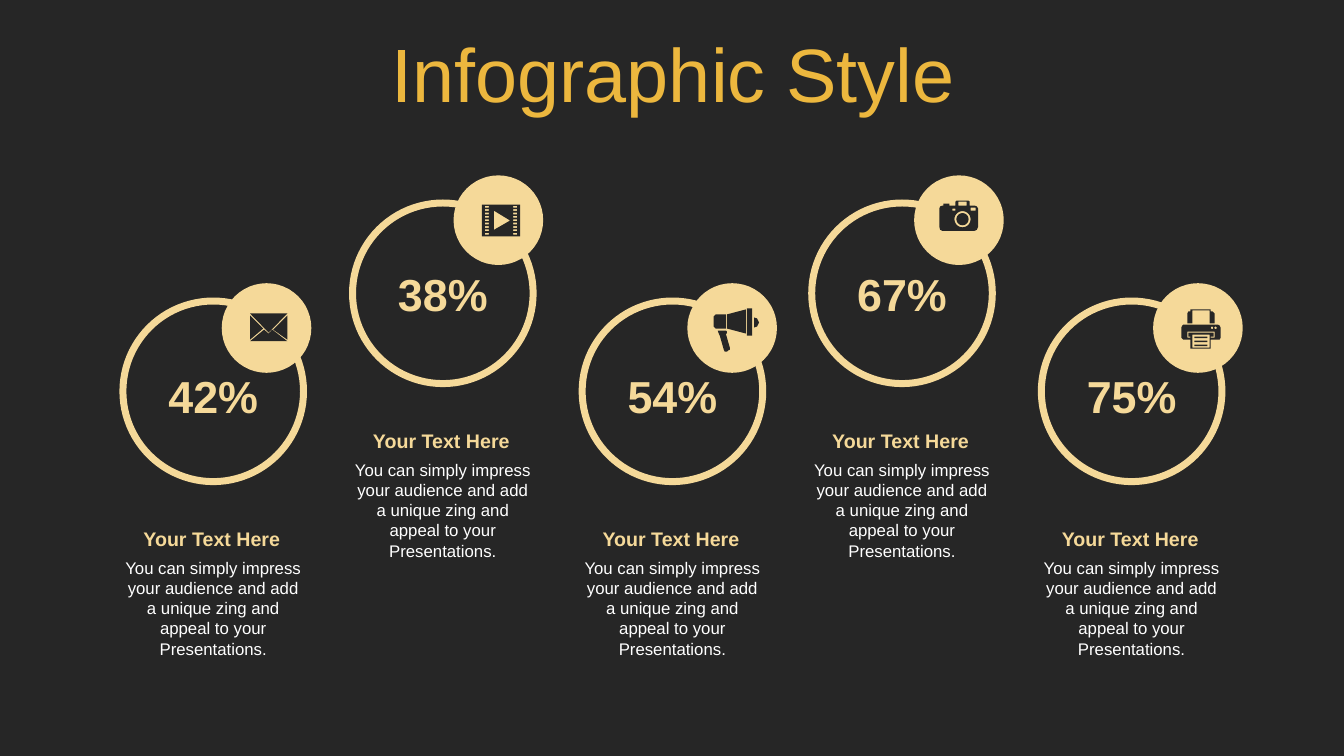
from dataclasses import dataclass
from math import cos, pi, sin

from pptx import Presentation
from pptx.dml.color import RGBColor as RGB
from pptx.enum.shapes import MSO_SHAPE as Shape
from pptx.enum.text import MSO_ANCHOR as Anchor, MSO_AUTO_SIZE as AutoSize, PP_ALIGN as Align
from pptx.util import Pt


@dataclass(frozen=True)
class Theme:
    font: str = "Arial"
    dark: RGB = RGB(0x26, 0x26, 0x26)
    gold: RGB = RGB(0xEC, 0xB7, 0x3E)
    cream: RGB = RGB(0xF5, 0xD9, 0x99)
    white: RGB = RGB(0xFF, 0xFF, 0xFF)
    title: int = 54
    percent: int = 32
    heading: int = 14
    body: int = 12


def rect(x0, y0, x1, y1):
    return [(x0, y0), (x1, y0), (x1, y1), (x0, y1)]


def disc(cx, cy, r, n=40):
    return [(cx + r * cos(2 * pi * i / n), cy + r * sin(2 * pi * i / n)) for i in range(n)]


TITLE = "Infographic Style"
HEADING = "Your Text Here"
BODY = "You can simply impress your audience and add a unique zing and appeal to your Presentations."

ENVELOPE = [
    [(22, 16), (37, 27.5), (0, 27.5), (14, 16), (18.5, 20)],
    [(37, 2), (37, 26), (23, 16)],
    [(0, 2), (13, 15), (0, 26)],
    [(0, 0), (37, 0), (18.5, 19)],
]
FILM = [
    rect(0, 0, 38, 31.5),
    [(12, 6), (12, 25), (28, 15.75)],
    *[rect(x, 1.2 + 3.35 * i, x + 4, 2.9 + 3.35 * i) for x in (3, 31) for i in range(9)],
]
MEGAPHONE = [
    [(12, 22), (13, 23), (13, 25), (12, 25), (16, 39), (16, 41), (14, 42), (13, 43),
     (11, 43), (10, 41), (6, 27), (5, 25), (4, 22)],
    [(40, 9), (43, 10), (45, 14), (43, 18), (40, 19)],
    [(2, 6), (12, 6), (12, 20), (2, 20), (0, 18), (0, 8)],
    [(32, 1), (32, 25), (13, 20), (13, 6)],
    rect(33, 0, 38, 27),
]
CAMERA = [
    [(17, 0), (29, 0), (30, 1), (30, 5), (35, 5), (37.2, 5.8), (38.5, 8), (38.5, 26),
     (37.2, 29), (35, 30), (3, 30), (0.8, 29), (0, 26), (0, 8), (0.8, 5.8), (3, 5),
     (4, 5), (4, 3), (10, 3), (10, 5), (16, 5), (16, 1)],
    disc(23, 18.5, 8), disc(23, 18.5, 6),
    rect(13, 8, 16, 10), rect(31, 7, 36, 10), rect(19, 1, 27, 5),
]
PRINTER = [
    [(2, 15), (36, 15), (38, 16), (39, 18), (39, 28), (38, 30), (36, 30), (29, 30), (29, 39),
     (9, 39), (9, 30), (2, 30), (0, 28), (0, 18), (1, 16)],
    [(9, 0), (29, 0), (29, 2), (31, 2), (33, 4), (33, 14), (28, 14), (28, 1), (11, 1),
     (11, 14), (6, 14), (6, 4), (7, 2), (9, 2)],
    [(6, 22), (6, 28), (9, 28), (9, 27), (7, 27), (7, 23), (32, 23), (32, 27), (29, 27),
     (29, 28), (33, 28), (33, 22)],
    rect(11, 25, 28, 38),
    *[rect(13, y, 26, y + 1.5) for y in (27, 31, 35)],
    disc(30.5, 18.3, 1.2), disc(34, 18.3, 1.2),
]

ITEMS = [
    ("42%", False, 158.4, ENVELOPE, (178.6, 223.9)),
    ("38%", True, 324, FILM, (344.2, 146.2)),
    ("54%", False, 491, MEGAPHONE, (509.8, 220.3)),
    ("67%", True, 653, CAMERA, (671, 143.3)),
    ("75%", False, 823.7, PRINTER, (843.8, 221)),
]

T = Theme()
FIRST_CENTER, PITCH = 152.3, 164
RING, BADGE, RING_LINE = 129, 64, 5
ICON_UNIT, PRECISION = 0.72, 100


def write(tf, text, size, color, bold=False):
    tf.word_wrap = True
    tf.auto_size = AutoSize.NONE
    p = tf.paragraphs[0]
    p.text = text
    p.alignment = Align.CENTER
    p.font.name, p.font.size, p.font.bold = T.font, Pt(size), bold
    p.font.color.rgb = color
    return p


def add_label(s, center, top, width, height, *style):
    box = s.shapes.add_textbox(Pt(center - width / 2), Pt(top), Pt(width), Pt(height))
    write(box.text_frame, *style)


def add_circle(s, left, top, size):
    sp = s.shapes.add_shape(Shape.OVAL, Pt(left), Pt(top), Pt(size), Pt(size))
    sp.shadow.inherit = False
    return sp


def add_icon(s, outlines, left, top):
    scaled = [[(x * PRECISION, y * PRECISION) for x, y in points] for points in outlines]
    builder = s.shapes.build_freeform(*scaled[0][0], scale=Pt(ICON_UNIT) / PRECISION)
    for points in scaled:
        builder.move_to(*points[0])
        builder.add_line_segments(points[1:], close=True)
    sp = builder.convert_to_shape(Pt(left), Pt(top))
    sp.shadow.inherit = False
    sp.fill.solid()
    sp.fill.fore_color.rgb = T.dark
    sp.line.fill.background()


def add_item(s, center, percent, raised, badge_left, icon, icon_at):
    lift = 70 if raised else 0
    ring = add_circle(s, center - RING / 2, 215 - lift, RING)
    ring.fill.background()
    ring.line.color.rgb = T.cream
    ring.line.width = Pt(RING_LINE)
    badge = add_circle(s, badge_left, 125.3 if raised else 202.3, BADGE)
    badge.fill.solid()
    badge.fill.fore_color.rgb = T.cream
    badge.line.fill.background()
    add_icon(s, icon, *icon_at)
    add_label(s, center, 187.2 if raised else 260, 82, 46, percent, T.percent, T.cream, True)
    add_label(s, center - 1, 373 - lift, 142, 24, HEADING, T.heading, T.cream, True)
    add_label(s, center, 394.8 - lift, 142.6, 80, BODY, T.body, T.white)


def main():
    prs = Presentation()
    prs.slide_width, prs.slide_height = Pt(960), Pt(540)
    s = prs.slides.add_slide(prs.slide_layouts[5])
    s.background.fill.solid()
    s.background.fill.fore_color.rgb = T.dark

    title = s.shapes.title
    title.left, title.top, title.width, title.height = Pt(25.2), Pt(22.3), Pt(911.5), Pt(66.2)
    title.text_frame.vertical_anchor = Anchor.MIDDLE
    write(title.text_frame, TITLE, T.title, T.gold).line_spacing = 0.9

    for i, item in enumerate(ITEMS):
        add_item(s, FIRST_CENTER + PITCH * i, *item)
    prs.save("out.pptx")


if __name__ == "__main__":
    main()
